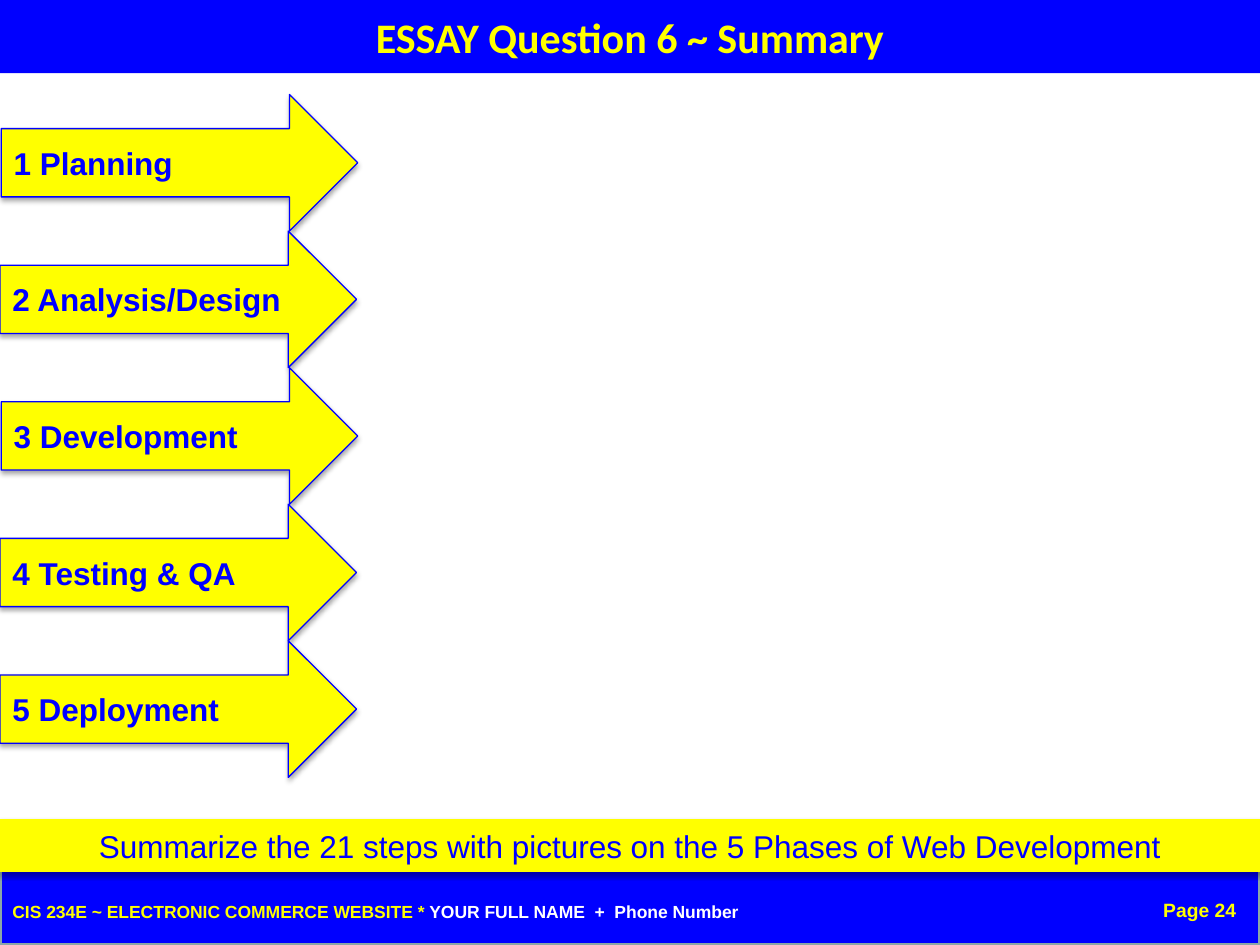
import dataclasses
import pptx
import pptx.util
import pptx.dml.color
import pptx.enum.shapes
import pptx.enum.text
import pptx.oxml
import pptx.oxml.ns

Inches = pptx.util.Inches
Pt = pptx.util.Pt
Shape = pptx.enum.shapes.MSO_SHAPE
Align = pptx.enum.text.PP_ALIGN
Anchor = pptx.enum.text.MSO_ANCHOR


def color(code):
    return pptx.dml.color.RGBColor.from_string(code)


@dataclasses.dataclass(frozen=True)
class Theme:
    blue = color("0000FF")
    navy = color("000099")
    yellow = color("FFFF00")
    white = color("FFFFFF")
    edge = color("8AA6A8")
    head = "Calibri"
    body = "Arial"
    title = Pt(24)
    main = Pt(18)
    page = Pt(11)
    foot = Pt(10)


THEME = Theme()
SHADE = (
    '<a:effectLst %s><a:outerShdw blurRad="39370" dist="22860" dir="5400000" '
    'rotWithShape="0"><a:srgbClr val="000000"><a:alpha val="35000"/></a:srgbClr>'
    "</a:outerShdw></a:effectLst>" % pptx.oxml.ns.nsdecls("a")
)


def style(para, face, size, ink, bold=False, align=Align.LEFT):
    para.alignment = align
    para.font.name = face
    para.font.size = size
    para.font.bold = bold
    para.font.color.rgb = ink


def block(slide, kind, box, fill, line=None, width=0, shade=False):
    shape = slide.shapes.add_shape(kind, *map(Inches, box))
    shape.fill.solid()
    shape.fill.fore_color.rgb = fill
    if line is None:
        shape.line.fill.background()
    else:
        shape.line.color.rgb = line
        shape.line.width = Pt(width)
    shape.shadow.inherit = False
    if shade:
        props = shape._element.spPr
        old = props.find(pptx.oxml.ns.qn("a:effectLst"))
        props.replace(old, pptx.oxml.parse_xml(SHADE))
    return shape


def label(shape, text, bold=False, align=Align.LEFT):
    frame = shape.text_frame
    frame.word_wrap = True
    frame.vertical_anchor = Anchor.MIDDLE
    frame.text = text
    style(frame.paragraphs[0], THEME.body, THEME.main, THEME.blue, bold, align)


def note(slide, box):
    frame = slide.shapes.add_textbox(*map(Inches, box)).text_frame
    frame.word_wrap = True
    para = frame.paragraphs[0]
    para.space_before = Pt(3)
    return para


def header(slide, box):
    title = slide.shapes.title
    title.left, title.top, title.width, title.height = map(Inches, box)
    title.fill.solid()
    title.fill.fore_color.rgb = THEME.blue
    frame = title.text_frame
    frame.text = "ESSAY Question 6 ~ Summary"
    frame.word_wrap = False
    frame.auto_size = pptx.enum.text.MSO_AUTO_SIZE.NONE
    frame.vertical_anchor = Anchor.MIDDLE
    style(frame.paragraphs[0], THEME.head, THEME.title, THEME.yellow, True, Align.CENTER)


def phases(slide, box):
    left, top, width, height = box
    names = ["Planning", "Analysis/Design", "Development", "Testing & QA", "Deployment"]
    step = height / len(names)
    for row, name in enumerate(names):
        nudge = 0.01 if row in (0, 2) else 0
        place = (left + nudge, top + row * step, width, step)
        arrow = block(slide, Shape.RIGHT_ARROW, place, THEME.yellow, THEME.blue, 0.75, True)
        label(arrow, f"{row + 1} {name}", True)


def task(slide, box):
    bar = block(slide, Shape.RECTANGLE, box, THEME.yellow, shade=True)
    text = "Summarize the 21 steps with pictures on the 5 Phases of Web Development"
    label(bar, text, align=Align.CENTER)


def footer(slide, box):
    left, top, width, height = box
    low = (left, top + 0.1, width, height - 0.1)
    block(slide, Shape.RECTANGLE, low, THEME.navy, THEME.edge, 2)
    block(slide, Shape.RECTANGLE, box, THEME.blue, THEME.edge, 2)
    page = note(slide, (left + width - 3.42, top + 0.18, 3.33, 0.25))
    page.text = "Page 24"
    style(page, THEME.body, THEME.page, THEME.yellow, True, Align.RIGHT)
    para = note(slide, (left, top + 0.2, width - 0.92, 0.4))
    style(para, THEME.body, THEME.foot, THEME.yellow, True)
    para.add_run().text = "CIS 234E ~ ELECTRONIC COMMERCE WEBSITE * "
    name = para.add_run()
    name.text = "YOUR FULL NAME  +  Phone Number"
    name.font.color.rgb = THEME.white


def main():
    deck = pptx.Presentation()
    deck.slide_width = Inches(10)
    deck.slide_height = Inches(7.5)
    slide = deck.slides.add_slide(deck.slide_layouts[5])
    header(slide, (0, 0, 10, 0.58))
    footer(slide, (0, 6.9, 10, 0.6))
    task(slide, (0, 6.5, 10, 0.42))
    phases(slide, (0, 0.75, 2.83, 5.42))
    deck.save("out.pptx")


if __name__ == "__main__":
    main()
